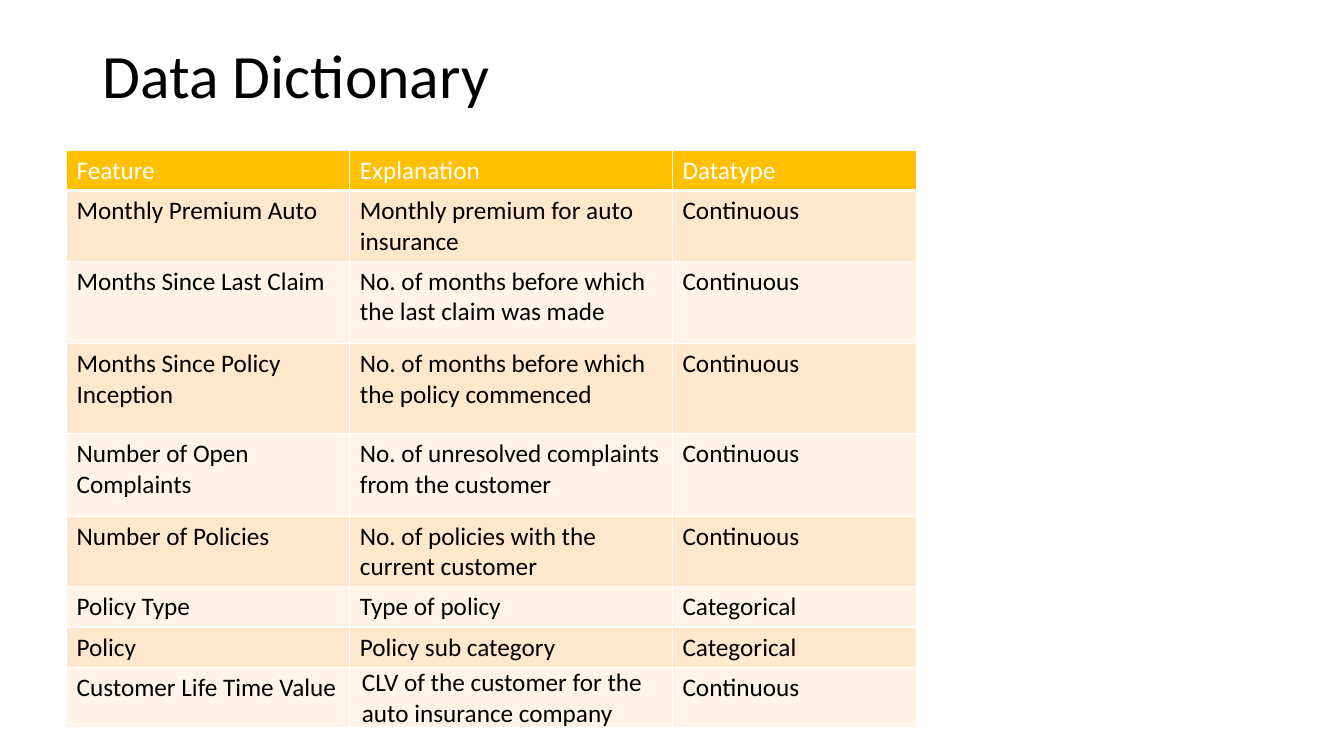
from dataclasses import dataclass

import lxml.etree
import pptx
import pptx.dml.color
import pptx.enum.text
import pptx.oxml.ns
import pptx.util

Inches = pptx.util.Inches


@dataclass(frozen=True)
class Theme:
    font: str = "Calibri"
    title_size: int = 44
    table_size: int = 18
    text: str = "000000"
    white: str = "FFFFFF"
    header: str = "FFC000"
    bands: tuple[str, str] = ("FFE8CC", "FFF4E7")


@dataclass(frozen=True)
class Feature:
    name: str
    explanation: str
    datatype: str
    height: float = 0.4


THEME = Theme()
COLUMN_WIDTHS = (2.81, 3.2, 2.42)
HEADER = Feature("Feature", "Explanation", "Datatype")
FEATURES = (
    Feature("Monthly Premium Auto", "Monthly premium for auto insurance", "Continuous", 0.58),
    Feature("Months Since Last Claim", "No. of months before which the last claim was made", "Continuous", 0.82),
    Feature("Months Since Policy Inception", "No. of months before which the policy commenced", "Continuous", 0.89),
    Feature("Number of Open Complaints", "No. of unresolved complaints from the customer", "Continuous", 0.82),
    Feature("Number of Policies", "No. of policies with the current customer", "Continuous", 0.58),
    Feature("Policy Type", "Type of policy", "Categorical"),
    Feature("Policy", "Policy sub category", "Categorical"),
    Feature("Customer Life Time Value", "CLV of the customer for the auto insurance company", "Continuous"),
)


def format_text(frame: pptx.text.text.TextFrame, size: int, color: str) -> None:
    for para in frame.paragraphs:
        for span in para.runs:
            span.font.name = THEME.font
            span.font.size = pptx.util.Pt(size)
            span.font.bold = False
            span.font.color.rgb = pptx.dml.color.RGBColor.from_string(color)


def add_title(page: pptx.slide.Slide) -> None:
    box = page.shapes.add_textbox(Inches(0.92), Inches(0.38), Inches(11.5), Inches(0.8))
    frame = box.text_frame
    frame.word_wrap = True
    frame.vertical_anchor = pptx.enum.text.MSO_ANCHOR.MIDDLE
    frame.text = "Data Dictionary"
    frame.paragraphs[0].line_spacing = 0.9
    format_text(frame, THEME.title_size, THEME.text)


def set_borders(cell: pptx.table._Cell, bottom_width: float) -> None:
    qn = pptx.oxml.ns.qn
    properties = cell._tc.get_or_add_tcPr()
    for side, width in (("L", 1), ("R", 1), ("T", 1), ("B", bottom_width)):
        line = lxml.etree.SubElement(properties, qn(f"a:ln{side}"), w=str(pptx.util.Pt(width)))
        fill = lxml.etree.SubElement(line, qn("a:solidFill"))
        lxml.etree.SubElement(fill, qn("a:srgbClr"), val=THEME.white)


def fill_cell(cell: pptx.table._Cell, text: str, fill: str, color: str, bottom_width: float) -> None:
    cell.text_frame.text = text
    format_text(cell.text_frame, THEME.table_size, color)
    set_borders(cell, bottom_width)
    cell.fill.solid()
    cell.fill.fore_color.rgb = pptx.dml.color.RGBColor.from_string(fill)


def add_dictionary(page: pptx.slide.Slide) -> None:
    entries = (HEADER, *FEATURES)
    table = page.shapes.add_table(
        len(entries), len(COLUMN_WIDTHS), Inches(0.66), Inches(1.49),
        Inches(sum(COLUMN_WIDTHS)), Inches(sum(entry.height for entry in entries)),
    ).table
    for column, width in zip(table.columns, COLUMN_WIDTHS):
        column.width = Inches(width)
    for index, entry in enumerate(entries):
        table.rows[index].height = Inches(entry.height)
        is_header = entry is HEADER
        fill = THEME.header if is_header else THEME.bands[(index - 1) % 2]
        color = THEME.white if is_header else THEME.text
        for column, text in enumerate((entry.name, entry.explanation, entry.datatype)):
            fill_cell(table.cell(index, column), text, fill, color, 3 if is_header else 1)
    value_cell = table.cell(len(FEATURES), 1)
    value_cell.margin_left = value_cell.margin_right = Inches(0.12)
    value_cell.margin_top = value_cell.margin_bottom = Inches(0)


def main() -> None:
    deck = pptx.Presentation()
    deck.slide_width, deck.slide_height = Inches(13.33), Inches(7.5)
    page = deck.slides.add_slide(deck.slide_layouts[6])
    add_title(page)
    add_dictionary(page)
    deck.save("out.pptx")


if __name__ == "__main__":
    main()
